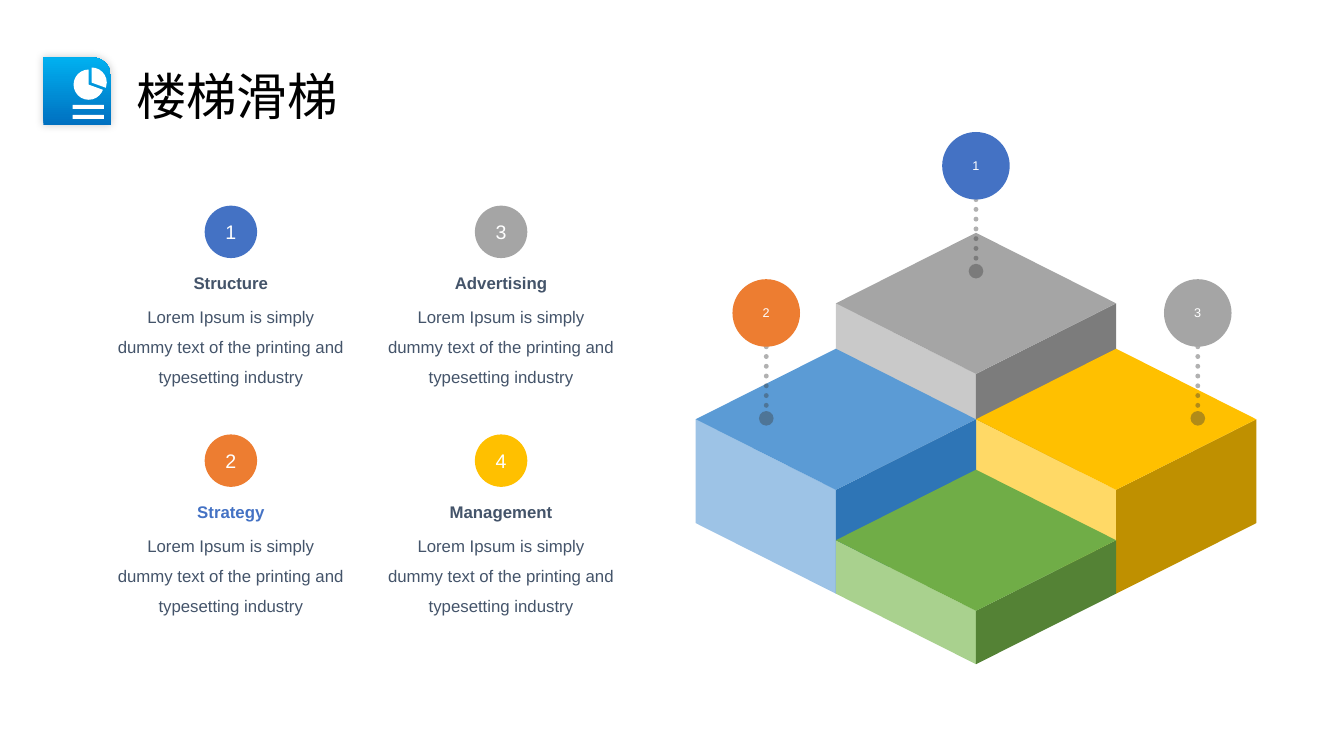
from lxml.etree import SubElement
from pptx import Presentation
from pptx.dml.color import RGBColor
from pptx.enum.dml import MSO_LINE
from pptx.enum.shapes import MSO_CONNECTOR, MSO_SHAPE
from pptx.enum.text import MSO_ANCHOR, MSO_AUTO_SIZE, PP_ALIGN
from pptx.oxml.ns import qn
from pptx.util import Inches, Pt

FONT = "Arial"
WHITE = RGBColor(0xFF, 0xFF, 0xFF)
BLACK = RGBColor(0x00, 0x00, 0x00)
SLATE = RGBColor(0x44, 0x54, 0x6A)
CHARCOAL = RGBColor(0x3C, 0x3C, 0x3C)
BLUE = RGBColor(0x44, 0x72, 0xC4)
ORANGE = RGBColor(0xED, 0x7D, 0x31)
GRAY = RGBColor(0xA5, 0xA5, 0xA5)
LIGHT_GRAY = RGBColor(0xC9, 0xC9, 0xC9)
DARK_GRAY = RGBColor(0x7C, 0x7C, 0x7C)
GOLD = RGBColor(0xFF, 0xC0, 0x00)
LIGHT_GOLD = RGBColor(0xFF, 0xD9, 0x66)
DARK_GOLD = RGBColor(0xBF, 0x90, 0x00)
SKY = RGBColor(0x5B, 0x9B, 0xD5)
LIGHT_SKY = RGBColor(0x9D, 0xC3, 0xE6)
DARK_SKY = RGBColor(0x2E, 0x75, 0xB6)
GREEN = RGBColor(0x70, 0xAD, 0x47)
LIGHT_GREEN = RGBColor(0xA9, 0xD1, 0x8E)
DARK_GREEN = RGBColor(0x54, 0x82, 0x35)
ICON_BOTTOM = RGBColor(0x00, 0x70, 0xC0)
ICON_TOP = RGBColor(0x00, 0xB0, 0xF0)

HALF_W, HALF_H = 1.39, 0.7
CENTER_X = 9.68
CARD_LEFT, CARD_TOP, CARD_W = 1.07, 2.04, 2.44
COL_STEP, ROW_STEP = 2.68, 2.27
BODY = "Lorem Ipsum is simply dummy text of the printing and typesetting industry"

BLOCKS = [
    (CENTER_X, 2.31, 1.5, LIGHT_GRAY, GRAY, DARK_GRAY),
    (CENTER_X + HALF_W, 3.46, 1.03, LIGHT_GOLD, GOLD, DARK_GOLD),
    (CENTER_X - HALF_W, 3.46, 1.03, LIGHT_SKY, SKY, DARK_SKY),
    (CENTER_X, 4.66, 0.53, LIGHT_GREEN, GREEN, DARK_GREEN),
]
PINS = [("1", CENTER_X, 1.31, BLUE), ("2", 7.6, 2.77, ORANGE), ("3", 11.88, 2.77, GRAY)]
CARDS = [
    ("1", "Structure", BLUE, SLATE),
    ("2", "Strategy", ORANGE, BLUE),
    ("3", "Advertising", GRAY, SLATE),
    ("4", "Management", GOLD, SLATE),
]


def style_run(p, size, color, bold=False):
    font = p.runs[0].font
    font.name, font.size, font.bold = FONT, Pt(size), bold
    font.color.rgb = color


def paint(sp, color):
    sp.fill.solid()
    sp.fill.fore_color.rgb = color
    sp.line.fill.background()
    sp.shadow.inherit = False


def add_preset(s, kind, left, top, width, height, color):
    sp = s.shapes.add_shape(kind, Inches(left), Inches(top), Inches(width), Inches(height))
    paint(sp, color)
    return sp


def add_face(s, points, color):
    points = [(Inches(x), Inches(y)) for x, y in points]
    builder = s.shapes.build_freeform(*points[0])
    builder.add_line_segments(points[1:], close=True)
    paint(builder.convert_to_shape(), color)


def add_block(s, x, top, depth, left_color, top_color, right_color):
    side_y, front_y = top + HALF_H, top + 2 * HALF_H
    for edge_x, color in ((x - HALF_W, left_color), (x + HALF_W, right_color)):
        add_face(s, [(x, front_y), (edge_x, side_y),
                     (edge_x, side_y + depth), (x, front_y + depth)], color)
    add_face(s, [(x, top), (x - HALF_W, side_y), (x, front_y), (x + HALF_W, side_y)], top_color)


def add_badge(s, number, x, top, size, color, font_size):
    sp = add_preset(s, MSO_SHAPE.OVAL, x - size / 2, top, size, size, color)
    tf = sp.text_frame
    tf.text = number
    tf.vertical_anchor = MSO_ANCHOR.MIDDLE
    p = tf.paragraphs[0]
    p.alignment = PP_ALIGN.CENTER
    style_run(p, font_size, WHITE)


def add_pin(s, number, x, top, color):
    start = top + 0.67
    cn = s.shapes.add_connector(MSO_CONNECTOR.STRAIGHT, Inches(x), Inches(start),
                                Inches(x), Inches(start + 0.71))
    cn.line.width = Pt(3.5)
    cn.line.color.rgb = CHARCOAL
    cn.line.dash_style = MSO_LINE.ROUND_DOT
    sp_pr = cn._element.spPr
    ln = sp_pr.find(qn("a:ln"))
    ln.set("cap", "rnd")
    SubElement(ln.find(".//" + qn("a:srgbClr")), qn("a:alpha"), val="40000")
    SubElement(ln, qn("a:tailEnd"), type="oval")
    SubElement(sp_pr, qn("a:effectLst"))
    add_badge(s, number, x, top, 0.67, color, 9)


def add_card(s, left, top, number, heading, badge_color, heading_color):
    box = s.shapes.add_textbox(Inches(left), Inches(top + 0.62), Inches(CARD_W), Inches(0.94))
    tf = box.text_frame
    tf.word_wrap = True
    tf.text = heading
    body = tf.add_paragraph()
    body.text = BODY
    body.line_spacing = 1.5
    for p in tf.paragraphs:
        p.alignment = PP_ALIGN.CENTER
        p.space_before = Pt(2.4)
    style_run(tf.paragraphs[0], 12, heading_color, True)
    style_run(body, 12, SLATE)
    add_badge(s, number, left + CARD_W / 2, top, 0.52, badge_color, 14)


def add_icon(s):
    page = add_preset(s, MSO_SHAPE.ROUND_1_RECTANGLE, 0.43, 0.57, 0.67, 0.67, ICON_TOP)
    page.adjustments[0] = 0.27
    page.fill.gradient()
    page.fill.gradient_angle = 90
    for stop, color in zip(page.fill.gradient_stops, (ICON_BOTTOM, ICON_TOP)):
        stop.color.rgb = color
    effects = page._element.spPr.find(qn("a:effectLst"))
    shadow = SubElement(effects, qn("a:outerShdw"), blurRad=str(Pt(6)), dist="0",
                        dir="13500000", algn="ctr", rotWithShape="0")
    color = SubElement(shadow, qn("a:srgbClr"), val="000000")
    SubElement(color, qn("a:alpha"), val="20000")
    for left, top, start, end in ((0.73, 0.69, 12, 162), (0.76, 0.67, 162, 12)):
        pie = add_preset(s, MSO_SHAPE.PIE, left, top, 0.3, 0.3, WHITE)
        pie.adjustments[0], pie.adjustments[1] = start, end
    for top in (1.04, 1.14):
        add_preset(s, MSO_SHAPE.RECTANGLE, 0.72, top, 0.31, 0.04, WHITE)


def set_title(s, text):
    title = s.shapes.title
    title.left, title.top = Inches(1.25), Inches(0.6)
    title.width, title.height = Inches(7.07), Inches(0.71)
    tf = title.text_frame
    tf.text = text
    tf.auto_size = MSO_AUTO_SIZE.NONE
    tf.vertical_anchor = MSO_ANCHOR.TOP
    p = tf.paragraphs[0]
    p.alignment = PP_ALIGN.LEFT
    style_run(p, 36, BLACK)


def main():
    prs = Presentation()
    prs.slide_width, prs.slide_height = Inches(13.33), Inches(7.5)
    s = prs.slides.add_slide(prs.slide_layouts[5])
    set_title(s, "楼梯滑梯")
    for block in BLOCKS:
        add_block(s, *block)
    for pin in PINS:
        add_pin(s, *pin)
    for i, card in enumerate(CARDS):
        col, row = divmod(i, 2)
        add_card(s, CARD_LEFT + col * COL_STEP, CARD_TOP + row * ROW_STEP, *card)
    add_icon(s)
    prs.save("out.pptx")


if __name__ == "__main__":
    main()
